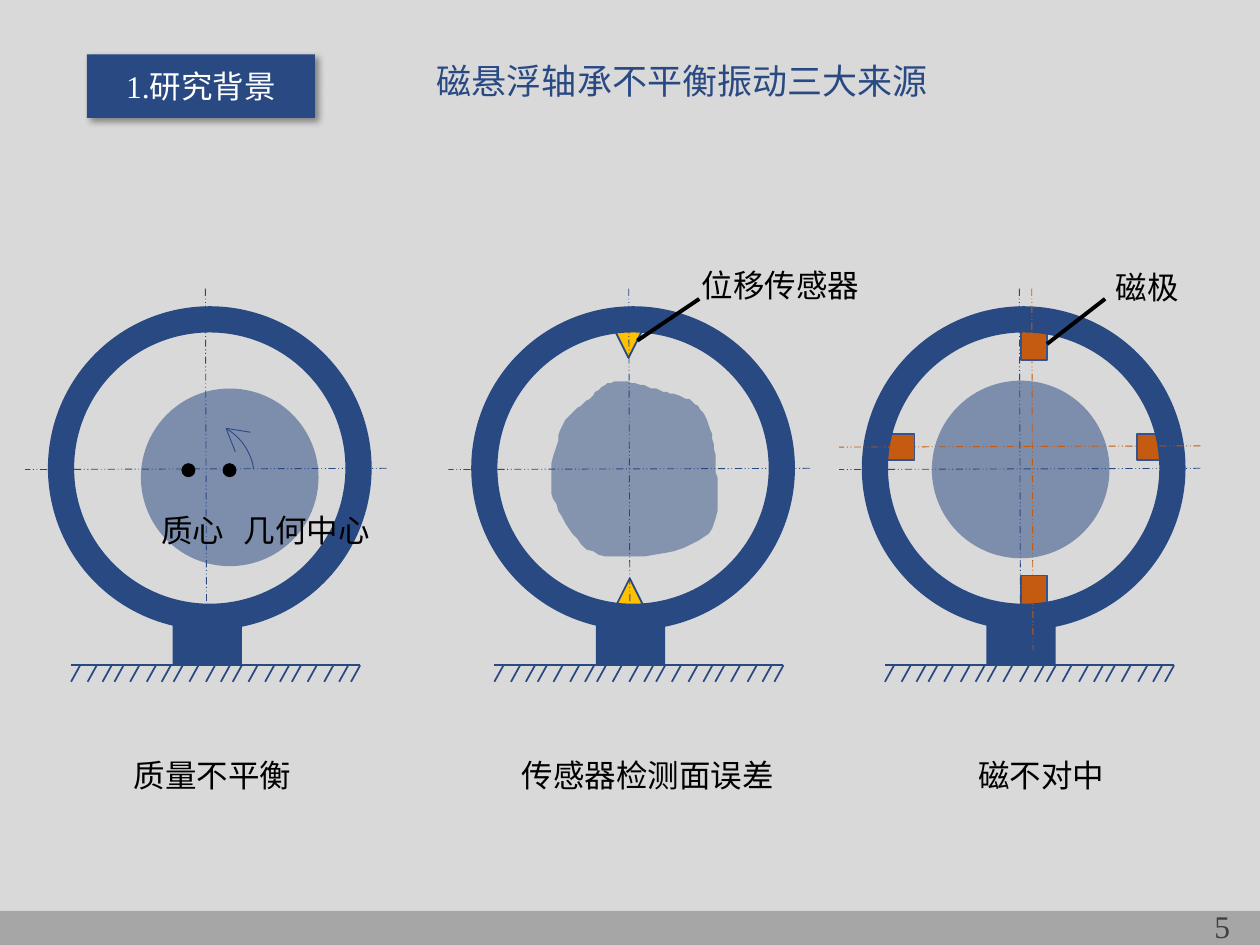
from dataclasses import dataclass
from typing import Optional

from lxml.etree import SubElement
from pptx import Presentation
from pptx.dml.color import RGBColor
from pptx.enum.dml import MSO_LINE_DASH_STYLE as Dash
from pptx.enum.shapes import MSO_CONNECTOR as Connector, MSO_SHAPE as Preset
from pptx.enum.text import MSO_ANCHOR as Anchor, PP_ALIGN as Align
from pptx.oxml.ns import qn
from pptx.util import Pt

COLORS = {
    "background": "D9D9D9", "blue": "294983", "outline": "325491",
    "orange": "C55A11", "yellow": "FFC000", "black": "000000",
    "white": "FFFFFF", "footer": "A6A6A6", "number": "404040",
}
CJK_FONT, LATIN_FONT = "Noto Sans CJK SC", "Times New Roman"
RING_TOP, RING_SIZE = 175, 185
GROUND_TOP = 380.2
HATCH_GROUP, HATCH_OFFSETS = 33.8, (0, 9.5, 18, 24.8)
BLOB_START = (334.1, 230.4)
BLOB_CURVES = [
    ((339.1, 226.1), (343.4, 219.6), (350.6, 218.2)),
    ((357.8, 217.4), (368.6, 220.3), (376.6, 223.2)),
    ((385.2, 225.4), (395.3, 226.8), (400.3, 234)),
    ((405.4, 241.2), (409, 254.2), (409, 266.4)),
    ((409.7, 278.6), (414, 299.5), (402.5, 307.4)),
    ((391.7, 316.1), (356.4, 321.1), (342, 316.8)),
    ((327.6, 312.5), (319, 293.8), (315.4, 281.5)),
    ((312.5, 269.3), (318.2, 252.7), (321.1, 244.1)),
    ((324, 235.4), (329, 234.7), (334.1, 230.4)),
]


@dataclass
class Box:
    left: float
    top: float
    width: float
    height: float

    def lengths(self) -> list:
        return [Pt(value) for value in (self.left, self.top, self.width, self.height)]


@dataclass
class Label:
    text: str
    box: Box
    size: float = 18
    color: str = "black"
    font: str = CJK_FONT
    align: Align = Align.LEFT
    spacing: Optional[float] = None


def rgb(name: str) -> RGBColor:
    return RGBColor.from_string(COLORS[name])


def paint(shape, fill: Optional[str], line: Optional[str] = None,
          width: float = 1, opacity: int = 100) -> None:
    shape.shadow.inherit = False
    if fill:
        shape.fill.solid()
        shape.fill.fore_color.rgb = rgb(fill)
        if opacity < 100:
            color = shape._element.spPr.find(qn("a:solidFill"))[0]
            SubElement(color, qn("a:alpha"), val=str(opacity * 1000))
    else:
        shape.fill.background()
    if line:
        shape.line.color.rgb = rgb(line)
        shape.line.width = Pt(width)
    else:
        shape.line.fill.background()


def add_shape(shapes, preset: Preset, box: Box, fill: Optional[str], **style):
    shape = shapes.add_shape(preset, *box.lengths())
    paint(shape, fill, **style)
    return shape


def add_line(shapes, start: tuple, end: tuple, color: str = "blue",
             width: float = 1, dash: Optional[Dash] = None) -> None:
    line = shapes.add_connector(Connector.STRAIGHT, *(Pt(v) for v in start + end))
    line.line.color.rgb = rgb(color)
    line.line.width = Pt(width)
    if dash:
        line.line.dash_style = dash
    SubElement(line._element.spPr, qn("a:effectLst"))


def write(shape, label: Label) -> None:
    shape.text_frame.text = label.text
    paragraph = shape.text_frame.paragraphs[0]
    paragraph.alignment = label.align
    if label.spacing:
        paragraph.line_spacing = label.spacing
    for run in paragraph.runs:
        run.font.size = Pt(label.size)
        run.font.name = label.font
        run.font.color.rgb = rgb(label.color)
        SubElement(run._r.get_or_add_rPr(), qn("a:ea"), typeface=CJK_FONT)


def add_label(shapes, label: Label) -> None:
    textbox = shapes.add_textbox(*label.box.lengths())
    textbox.text_frame.word_wrap = True
    write(textbox, label)


def add_caption(shapes, text: str, left: float, width: float) -> None:
    box = Box(left, 432.7, width, 26)
    add_label(shapes, Label(text, box, align=Align.CENTER, spacing=0.8))


def add_axes(shapes, x: float, y: float, left: float, color: str = "blue") -> None:
    """Dash-dot centre lines crossing at x, y for the ring starting at left."""
    style = {"color": color, "width": 0.5, "dash": Dash.DASH_DOT_DOT}
    add_line(shapes, (x, 165), (x + 0.7, 371.5), **style)
    add_line(shapes, (left + 193.5, y), (left - 13, y + 0.7), **style)


def add_ground(shapes, left: float) -> None:
    start = left + 13.2
    add_line(shapes, (start + 165.2, GROUND_TOP), (start, GROUND_TOP))
    for group in range(5):
        for offset in HATCH_OFFSETS:
            x = start + 5.2 + group * HATCH_GROUP + offset
            add_line(shapes, (x, GROUND_TOP), (x - 5.2, GROUND_TOP + 9.4))


def add_bearing(shapes, left: float) -> None:
    add_ground(shapes, left)
    add_axes(shapes, left + 90, 267.6, left)
    ring = add_shape(shapes, Preset.DONUT, Box(left, RING_TOP, RING_SIZE, RING_SIZE), "blue")
    ring.adjustments[0] = 0.081
    add_shape(shapes, Preset.RECTANGLE, Box(left + 71.2, 356.5, 39.6, 23.7), "blue")


def add_disk(shapes, left: float, top: float) -> None:
    add_shape(shapes, Preset.OVAL, Box(left, top, 101.5, 101.5), "blue", opacity=52)


def add_blob(shapes) -> None:
    """Irregular rotor, its cubic curves sampled into short segments."""
    points, start = [], BLOB_START
    for first, second, end in BLOB_CURVES:
        for step in range(1, 13):
            t = step / 12
            weights = ((1 - t) ** 3, 3 * t * (1 - t) ** 2, 3 * t * t * (1 - t), t ** 3)
            corners = (start, first, second, end)
            points.append(tuple(sum(w * c[axis] for w, c in zip(weights, corners))
                                for axis in (0, 1)))
        start = end
    builder = shapes.build_freeform(*BLOB_START, scale=Pt(1))
    builder.add_line_segments(points, close=True)
    paint(builder.convert_to_shape(), "blue", opacity=48)


def draw_mass_unbalance(shapes) -> None:
    add_disk(shapes, 80.5, 222)
    add_bearing(shapes, 27.4)
    for left in (103.7, 127.2):
        add_shape(shapes, Preset.OVAL, Box(left, 264.7, 8, 8), "black")
    add_line(shapes, (134.5, 258.2), (129.2, 244.8), width=0.5)
    add_line(shapes, (143.2, 247), (129.4, 244.8), width=0.5)
    arc = add_shape(shapes, Preset.ARC, Box(80.6, 240.5, 64.8, 64.8), None,
                    line="blue", width=0.5)
    arc.rotation = 345.7
    arc.adjustments[0], arc.adjustments[1] = 188.816, 3.428
    add_label(shapes, Label("质心", Box(85, 288.7, 59, 29)))
    add_label(shapes, Label("几何中心", Box(132.3, 288.7, 90, 29)))
    add_caption(shapes, "质量不平衡", 48, 147)


def draw_sensor_error(shapes) -> None:
    for left, top, rotation in ((348.8, 183.8, 180), (349.5, 330.5, 0)):
        sensor = add_shape(shapes, Preset.ISOSCELES_TRIANGLE, Box(left, top, 20.7, 20.7),
                           "yellow", line="blue")
        sensor.rotation = rotation
    add_bearing(shapes, 269.3)
    add_blob(shapes)
    add_label(shapes, Label("位移传感器", Box(393.8, 148.3, 112.5, 29)))
    add_line(shapes, (364.2, 194.6), (399.6, 170.8), "black", 2.25)
    add_caption(shapes, "传感器检测面误差", 283.5, 173)


def draw_magnetic_misalignment(shapes) -> None:
    poles = [Box(583.3, top, 15.2, 18.9) for top in (187, 328.8)]
    poles += [Box(left, 247.9, 18.9, 15.2) for left in (503.7, 649.6)]
    for pole in poles:
        add_shape(shapes, Preset.RECTANGLE, pole, "orange", line="outline")
    add_bearing(shapes, 492.5)
    add_disk(shapes, 532.5, 217.5)
    add_axes(shapes, 589.6, 254.8, 492.5, "orange")
    add_label(shapes, Label("磁极", Box(630.6, 149.8, 65.5, 29)))
    add_line(shapes, (598.3, 196.6), (631.5, 170.8), "black", 2.25)
    add_caption(shapes, "磁不对中", 521.5, 147)


def add_section_badge(shapes) -> None:
    box = Box(49.7, 31, 130.3, 36.3)
    badge = add_shape(shapes, Preset.RECTANGLE, box, "blue")
    effects = badge._element.spPr.find(qn("a:effectLst"))
    shadow = SubElement(effects, qn("a:outerShdw"), blurRad=str(Pt(4)), dist=str(Pt(3)),
                        dir="2700000", algn="tl", rotWithShape="0")
    color = SubElement(shadow, qn("a:srgbClr"), val=COLORS["black"])
    SubElement(color, qn("a:alpha"), val="40000")
    badge.text_frame.vertical_anchor = Anchor.MIDDLE
    write(badge, Label("1.研究背景", box, color="white", font=LATIN_FONT, align=Align.CENTER))


def main() -> None:
    presentation = Presentation()
    presentation.slide_width, presentation.slide_height = Pt(720), Pt(540)
    slide = presentation.slides.add_slide(presentation.slide_layouts[6])
    slide.background.fill.solid()
    slide.background.fill.fore_color.rgb = rgb("background")
    add_label(slide.shapes, Label("磁悬浮轴承不平衡振动三大来源", Box(200.9, 33, 378, 37.5), 20,
                                  "blue", align=Align.CENTER, spacing=0.9))
    add_section_badge(slide.shapes)
    for draw in (draw_mass_unbalance, draw_sensor_error, draw_magnetic_misalignment):
        draw(slide.shapes.add_group_shape().shapes)
    add_shape(slide.shapes, Preset.RECTANGLE, Box(0, 520.5, 720, 19.5), "footer")
    add_label(slide.shapes, Label("5", Box(686.8, 515, 31.7, 29), color="number",
                                  font=LATIN_FONT))
    presentation.save("out.pptx")


if __name__ == "__main__":
    main()
